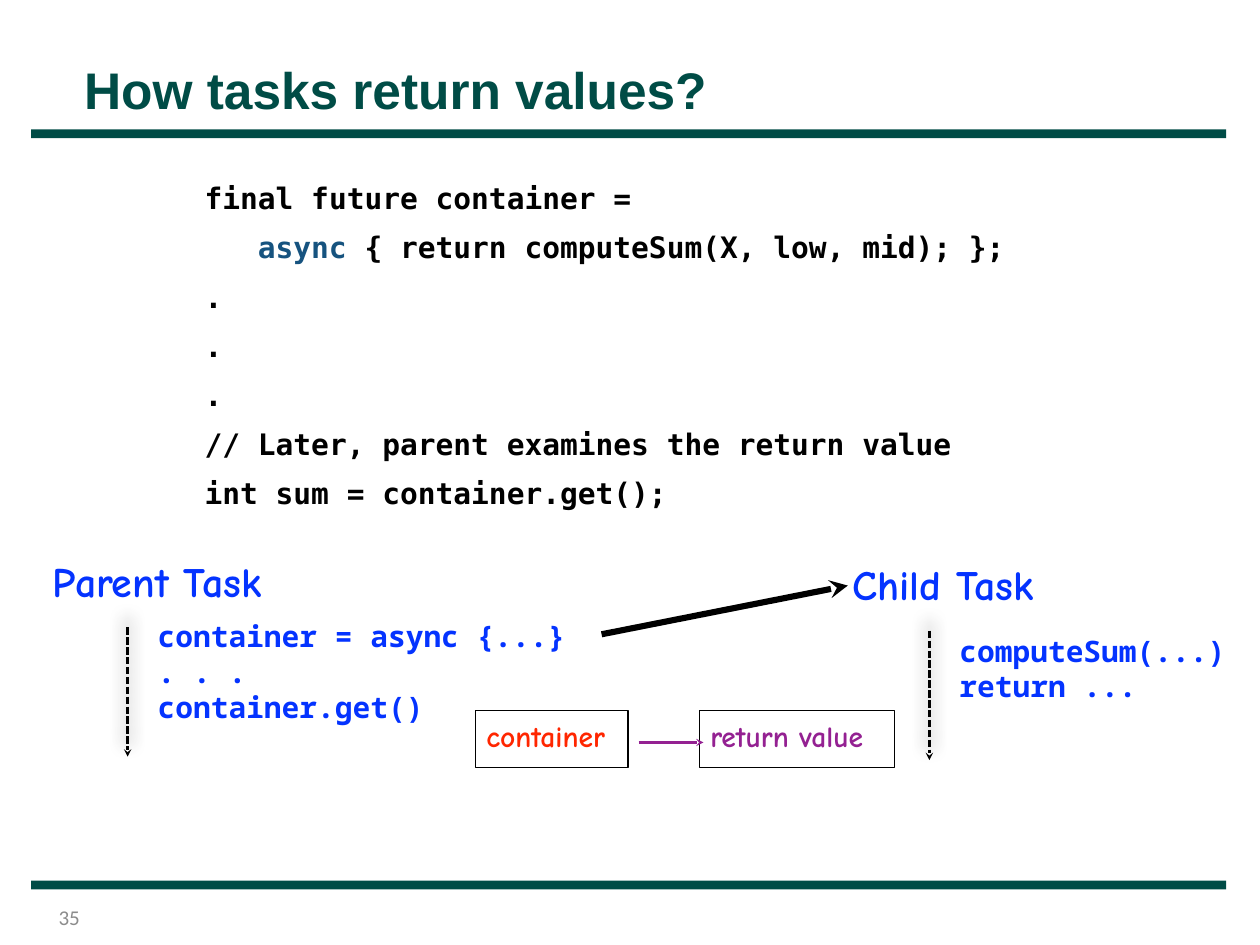
from lxml import etree
from pptx import Presentation
from pptx.dml.color import RGBColor
from pptx.enum.dml import MSO_LINE
from pptx.enum.shapes import MSO_CONNECTOR, MSO_SHAPE
from pptx.enum.text import MSO_ANCHOR, PP_ALIGN
from pptx.oxml import parse_xml
from pptx.oxml.ns import nsdecls, qn
from pptx.util import Pt

GREEN = RGBColor(0x00, 0x4C, 0x46)
TEAL = RGBColor(0x16, 0x53, 0x7F)
BLUE = RGBColor(0x04, 0x33, 0xFF)
RED = RGBColor(0xFF, 0x26, 0x00)
PURPLE = RGBColor(0x94, 0x21, 0x92)
GRAY = RGBColor(0x8C, 0x8C, 0x8C)
BLACK = RGBColor(0, 0, 0)

CODE_FONT = "DejaVu Sans Mono"
TASK_FONT = "Noto Sans Mono"
LABEL_FONT = "Comic Neue"

prs = Presentation()
prs.slide_width, prs.slide_height = Pt(1024), Pt(768)
s = prs.slides.add_slide(prs.slide_layouts[6])


def write(sp, lines, font, size, color, spacing=1.0, before=0, anchor=MSO_ANCHOR.TOP):
    tf = sp.text_frame
    tf.word_wrap = True
    tf.vertical_anchor = anchor
    tf.margin_left = Pt(8.6)
    tf.margin_right = tf.margin_top = tf.margin_bottom = Pt(5.76)
    for i, line in enumerate(lines):
        p = tf.add_paragraph() if i else tf.paragraphs[0]
        p.alignment = PP_ALIGN.LEFT
        p.line_spacing = spacing
        p.space_before = Pt(before if i else 0)
        for text in line:
            r = p.add_run()
            r.text = text
            r.font.name, r.font.size, r.font.bold = font, Pt(size), True
            r.font.color.rgb = color
    return tf


def arrow(x1, y1, x2, y2, color, width):
    c = s.shapes.add_connector(MSO_CONNECTOR.STRAIGHT, Pt(x1), Pt(y1), Pt(x2), Pt(y2))
    c.line.color.rgb = color
    c.line.width = Pt(width)
    etree.SubElement(c.line._get_or_add_ln(), qn("a:tailEnd"), type="stealth")
    effects = etree.SubElement(c._element.spPr, qn("a:effectLst"))
    return c, effects


for y in (105.1, 715.7):
    bar = s.shapes.add_shape(MSO_SHAPE.RECTANGLE, Pt(25.2), Pt(y), Pt(971.3), Pt(7.2))
    bar.shadow.inherit = False
    bar.fill.solid()
    bar.fill.fore_color.rgb = GREEN
    bar.line.fill.background()

title = s.shapes.add_textbox(Pt(59.8), Pt(0), Pt(902.9), Pt(103.7))
write(title, [["How tasks return values?"]], "Arial", 41.8, GREEN, 0.85, anchor=MSO_ANCHOR.BOTTOM)

code = s.shapes.add_textbox(Pt(157.7), Pt(144), Pt(804.2), Pt(323.3))
code_lines = [
    ["final future container ="],
    ["   ", "async ", "{ return computeSum(X, low, mid); };"],
    ["."],
    ["."],
    ["."],
    ["// Later, parent examines the return value"],
    ["int sum = container.get();"],
]
tf = write(code, code_lines, CODE_FONT, 24, BLACK, 0.9, 14)
tf.paragraphs[1].runs[1].font.color.rgb = TEAL

number = s.shapes.add_textbox(Pt(38.9), Pt(730), Pt(33.1), Pt(30.2))
number.text_frame.text = "35"
number.text_frame.word_wrap = True
number.text_frame.vertical_anchor = MSO_ANCHOR.MIDDLE
p = number.text_frame.paragraphs[0]
p.alignment = PP_ALIGN.RIGHT
p.runs[0].font.name, p.runs[0].font.size = "Calibri", Pt(17.1)
p.runs[0].font.color.rgb = GRAY

task_texts = [
    (33.8, 445.7, 213.8, 58.3, [["Parent Task"]], LABEL_FONT, 34),
    (684, 448.6, 187.2, 58.3, [["Child Task"]], LABEL_FONT, 34),
    (119.5, 496.8, 395.3, 127.4, [["container = async {...}"], [". . ."], ["container.get()"]], TASK_FONT, 24),
    (771.1, 508.3, 250, 69.1, [["computeSum(...)"], ["return ..."]], TASK_FONT, 24),
]
for x, y, w, h, lines, font, size in task_texts:
    sp = s.shapes.add_textbox(Pt(x), Pt(y), Pt(w), Pt(h))
    write(sp, lines, font, size, BLUE)

for x, y in ((103.7, 509.8), (755.3, 512.6)):
    timeline, effects = arrow(x, y, x, y + 105.1, BLACK, 2)
    timeline.line.dash_style = MSO_LINE.SQUARE_DOT
    effects.append(parse_xml(
        f'<a:outerShdw {nsdecls("a")} blurRad="{Pt(14)}" dist="{Pt(8)}" dir="16200000" rotWithShape="0">'
        '<a:srgbClr val="000000"><a:alpha val="75000"/></a:srgbClr></a:outerShdw>'))

arrow(488.9, 515.5, 689, 475.9, BLACK, 5)

for x, w, text, color in ((568.8, 158.4, "return value", PURPLE), (386.6, 123.8, "container", RED)):
    sp = s.shapes.add_shape(MSO_SHAPE.RECTANGLE, Pt(x), Pt(577.4), Pt(w), Pt(46.1))
    sp.shadow.inherit = False
    sp.fill.background()
    sp.line.color.rgb = BLACK
    sp.line.width = Pt(1)
    write(sp, [[text]], LABEL_FONT, 24, color)

arrow(519.1, 603.4, 571.7, 603.4, PURPLE, 2)

prs.save("out.pptx")
